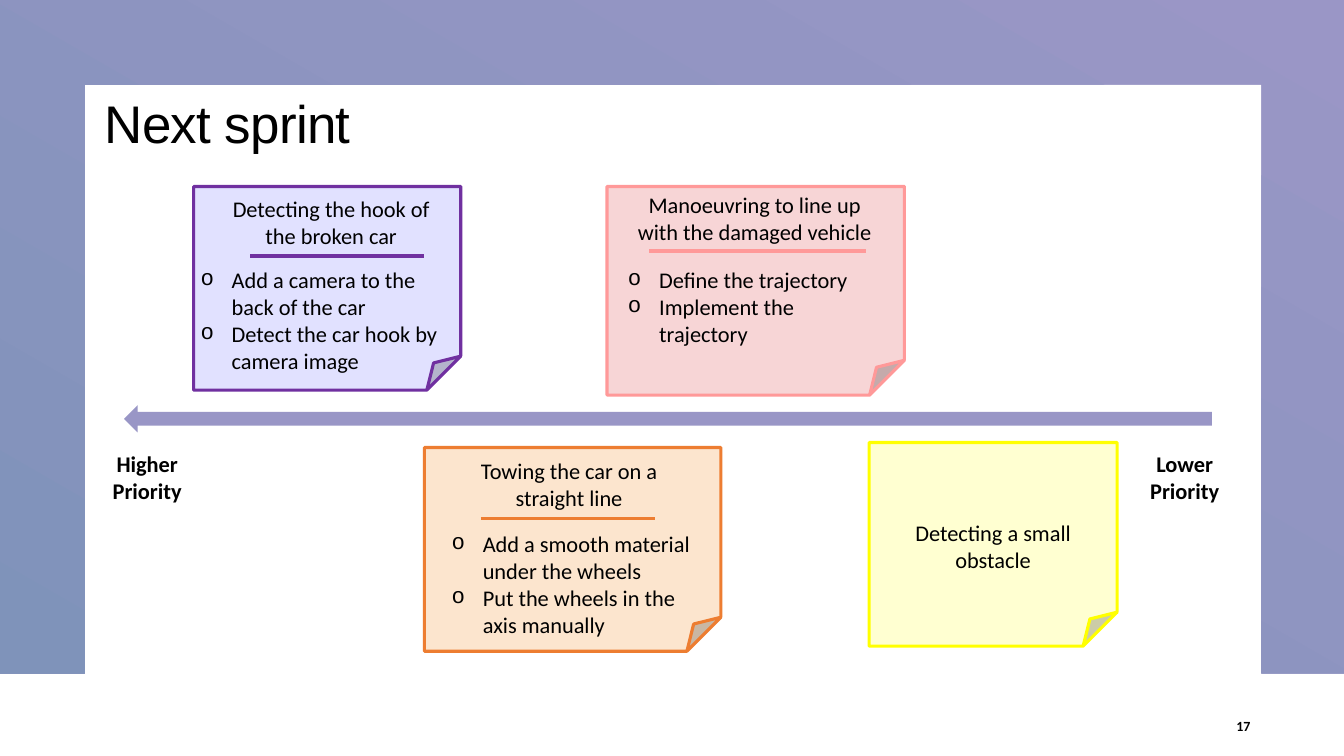
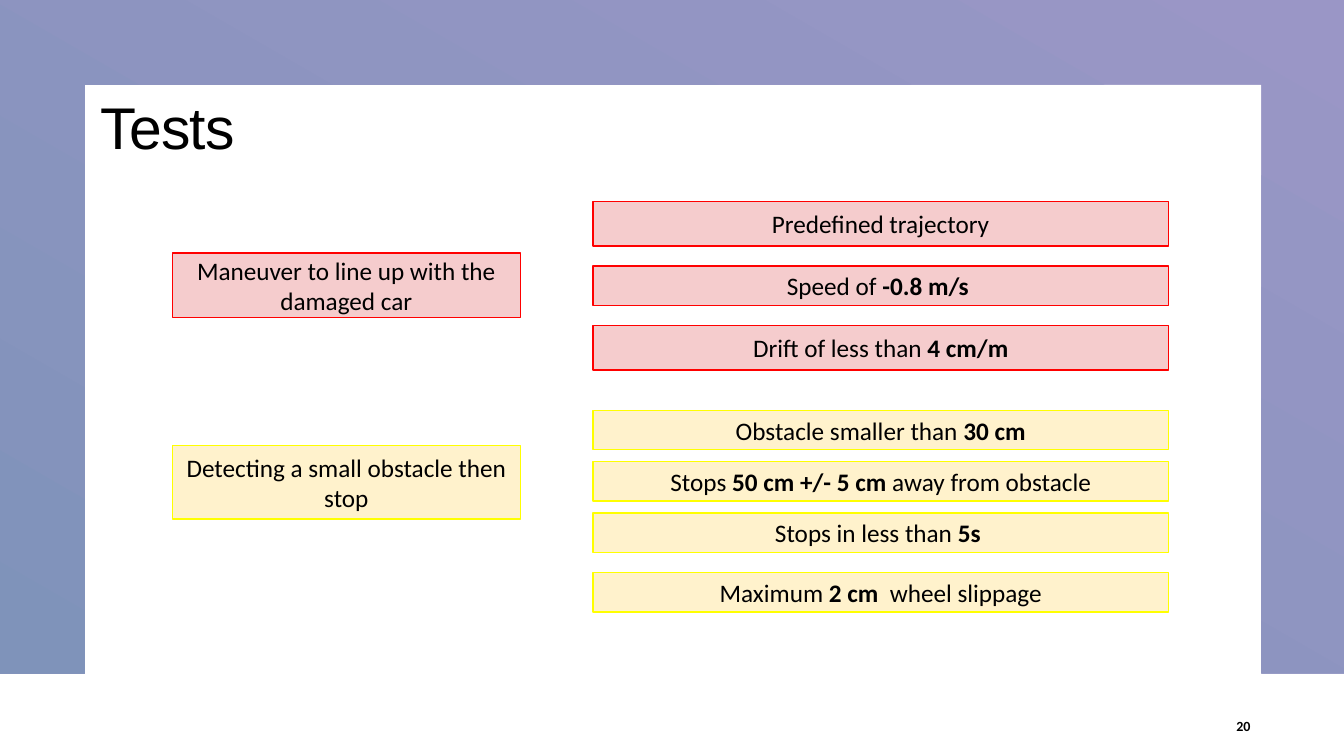
"""Build two project slides: the next sprint's priorities and the test criteria."""
from lxml import etree
from pptx import Presentation
from pptx import util as u
from pptx.dml.color import RGBColor
from pptx.enum import shapes, text
from pptx.oxml.ns import qn

COLORS = {
    "ink": "000000", "frame_start": "9A96C6", "frame_end": "7F93BA", "arrow": "9996C6",
    "purple": "7030A0", "purple_pale": "E1E1FF", "pink": "FF9999", "pink_pale": "F7D5D6",
    "orange": "ED7D31", "orange_pale": "FCE5CE", "yellow": "FFFF00", "yellow_pale": "FFFFD1",
    "red": "FF0000", "red_pale": "F5CCCD", "cream": "FFF2CC",
}
RGB = {name: RGBColor.from_string(value) for name, value in COLORS.items()}
LEFT, CENTER, RIGHT = text.PP_ALIGN.LEFT, text.PP_ALIGN.CENTER, text.PP_ALIGN.RIGHT


def add_shape(page, kind, place, fill, line=None, width=1):
    shape = page.shapes.add_shape(kind, *map(u.Inches, place))
    shape.shadow.inherit = False
    shape.fill.solid()
    shape.fill.fore_color.rgb = RGB[fill]
    if line:
        shape.line.color.rgb = RGB[line]
        shape.line.width = u.Pt(width)
    else:
        shape.line.fill.background()
    return shape


def write(shape, content, size, align=CENTER, bold=False, font="Calibri"):
    """Write one paragraph per line, with the parts between asterisks in bold."""
    frame = shape.text_frame
    frame.word_wrap = True
    for index, line in enumerate(content.split("\n")):
        paragraph = frame.add_paragraph() if index else frame.paragraphs[0]
        paragraph.alignment = align
        for part, words in enumerate(line.split("*")):
            span = paragraph.add_run()
            span.text = words
            span.font.name = font
            span.font.size = u.Pt(size)
            span.font.bold = bold or part % 2 == 1
            span.font.color.rgb = RGB["ink"]
    return frame


deck = Presentation()
deck.slide_width, deck.slide_height = u.Inches(13.33), u.Inches(7.5)

FRAME_POINTS = [(1333, 0), (1333, 668), (1251, 668), (1251, 84), (84, 84), (84, 668), (0, 668)]
for title, title_size, title_place, number in [
    ("Next sprint", 37.8, (0.94, 0.9, 3.73, 0.68), "17"),
    ("Tests", 42, (0.9, 0.9, 10, 1.47), "20"),
]:
    page = deck.slides.add_slide(deck.slide_layouts[6])
    outline = page.shapes.build_freeform(0, 0, scale=u.Inches(0.01))
    outline.add_line_segments(FRAME_POINTS, close=True)
    border = outline.convert_to_shape()
    border.shadow.inherit = False
    border.line.fill.background()
    border.fill.gradient()
    border.fill.gradient_angle = 240
    for stop, name in zip(border.fill.gradient_stops, ("frame_start", "frame_end")):
        stop.color.rgb = RGB[name]

    box = page.shapes.add_textbox(*map(u.Inches, title_place))
    heading = write(box, title, title_size, LEFT, font="Arial").paragraphs[0]
    heading.line_spacing = 0.95
    heading.runs[0].font._element.set("spc", "-50")

    box = page.shapes.add_textbox(*map(u.Inches, (11.92, 7, 0.58, 0.4)))
    write(box, number, 10, RIGHT, bold=True).vertical_anchor = text.MSO_ANCHOR.MIDDLE

sprint_page, tests_page = deck.slides

NOTES = [
    ("orange", (4.21, 4.44, 2.94, 2.02), "Towing the car on a straight line", (4.48, 4.49, 2.33, 0.64),
     (4.77, 6.5, 5.14), "Add a smooth material under the wheels\nPut the wheels in the axis manually",
     (4.38, 5.21, 2.65, 1.18)),
    ("pink", (6.02, 1.85, 2.95, 2.07), "Manoeuvring to line up with the damaged vehicle",
     (6.16, 1.85, 2.65, 0.64), (6.44, 8.59, 2.49), "Define the trajectory\nImplement the trajectory",
     (6.13, 2.59, 2.61, 1.14)),
    ("purple", (1.92, 1.85, 2.65, 2.02), "Detecting the hook of the broken car", (2.12, 1.89, 2.33, 0.64),
     (2.48, 4.21, 2.54), "Add a camera to the back of the car\nDetect the car hook by camera image",
     (1.89, 2.59, 2.65, 1.18)),
    ("yellow", (8.62, 4.39, 2.46, 2.02), "Detecting a small obstacle", (8.63, 5.1, 2.44, 0.64),
     None, None, None),
]
for color, place, topic, topic_place, rule, tasks, tasks_place in NOTES:
    add_shape(sprint_page, shapes.MSO_SHAPE.FOLDED_CORNER, place, color + "_pale", color, 2.25)
    write(sprint_page.shapes.add_textbox(*map(u.Inches, topic_place)), topic, 16)
    if not tasks:
        continue
    start, end, height = map(u.Inches, rule)
    underline = sprint_page.shapes.add_connector(shapes.MSO_CONNECTOR.STRAIGHT, start, height, end, height)
    underline.line.color.rgb = RGB[color]
    underline.line.width = u.Pt(2.25)
    etree.SubElement(underline._element.spPr, qn("a:effectLst"))
    box = sprint_page.shapes.add_textbox(*map(u.Inches, tasks_place))
    for paragraph in write(box, tasks, 16, LEFT).paragraphs:
        properties = paragraph._p.get_or_add_pPr()
        properties.set("marL", str(u.Inches(0.31)))
        properties.set("indent", str(-u.Inches(0.31)))
        etree.SubElement(properties, qn("a:buFont")).set("typeface", "Courier New")
        etree.SubElement(properties, qn("a:buChar")).set("char", "o")

add_shape(sprint_page, shapes.MSO_SHAPE.LEFT_ARROW, (1.23, 4.02, 10.79, 0.27), "arrow")
for left, label in [(1, "Higher Priority"), (11.29, "Lower Priority")]:
    box = sprint_page.shapes.add_textbox(*map(u.Inches, (left, 4.42, 0.92, 0.64)))
    write(box, label, 16, bold=True)

TESTS = [
    ("red_pale", "red", "Maneuver to line up with the damaged car", 2.51, 0.64, [
        ("Predefined trajectory", 2, 0.44),
        ("Speed of *-0.8 m/s ", 2.64, 0.39),
        ("Drift of less than *4 cm/m", 3.23, 0.44),
    ]),
    ("cream", "yellow", "Detecting a small obstacle then stop", 4.42, 0.73, [
        ("Obstacle smaller than *30 cm", 4.07, 0.39),
        ("Stops *50 cm +/- 5 cm *away from obstacle", 4.58, 0.39),
        ("Stops in less than *5s ", 5.09, 0.39),
        ("Maximum *2 cm * wheel slippage", 5.68, 0.39),
    ]),
]
for fill, line, feature, feature_top, feature_height, criteria in TESTS:
    cards = [(feature, 1.71, feature_top, 3.45, feature_height)]
    cards += [(criterion, 5.88, top, 5.71, height) for criterion, top, height in criteria]
    for content, left, top, width, height in cards:
        card = add_shape(tests_page, shapes.MSO_SHAPE.RECTANGLE, (left, top, width, height), fill, line)
        write(card, content, 18).vertical_anchor = text.MSO_ANCHOR.MIDDLE

deck.save("out.pptx")
